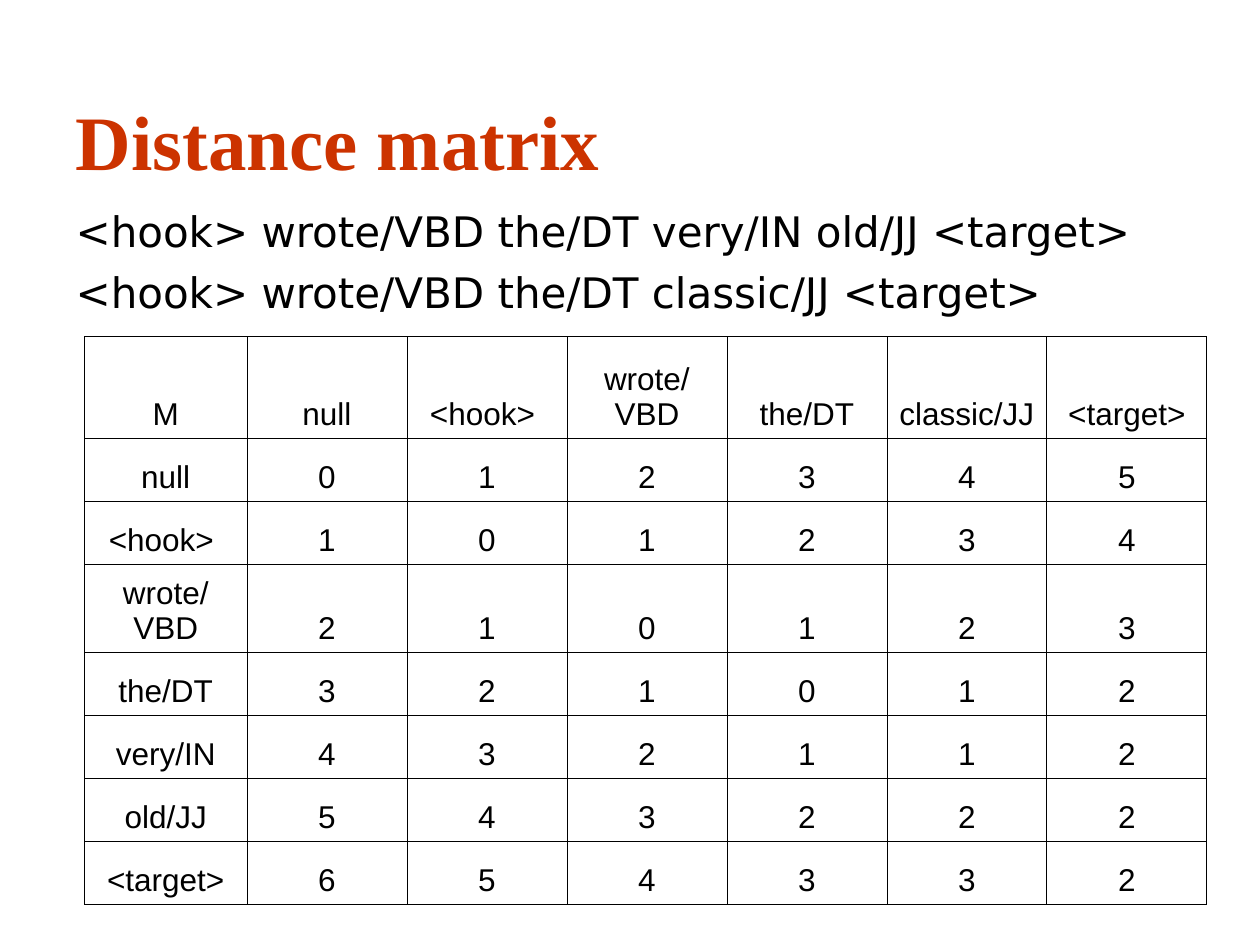
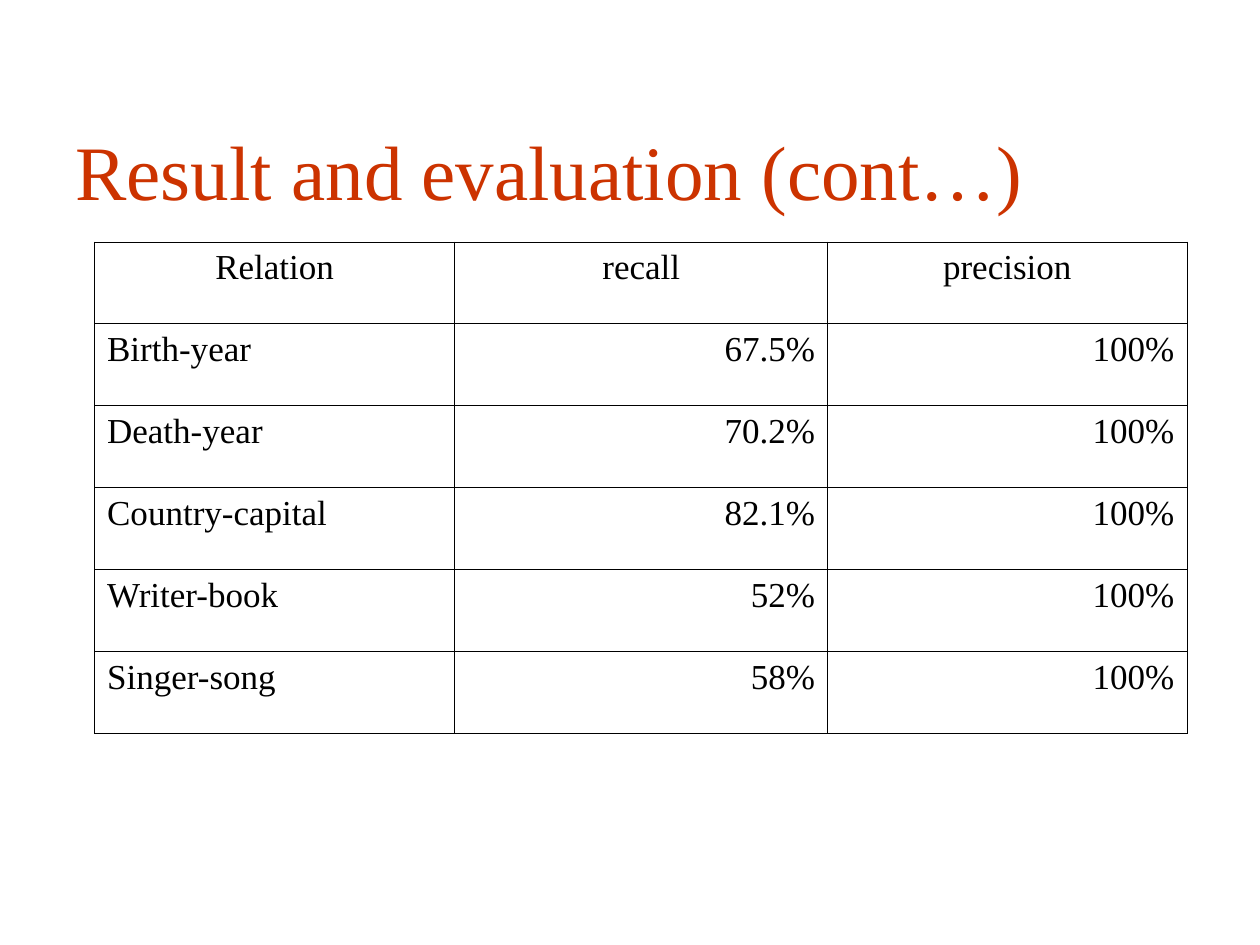
import pptx
import pptx.dml.color
import pptx.enum.text
import pptx.oxml
import pptx.oxml.ns
import pptx.util
from pptx.util import Inches

ALIGN = pptx.enum.text.PP_ALIGN
ANCHOR = pptx.enum.text.MSO_ANCHOR
RED = pptx.dml.color.RGBColor(0xCC, 0x33, 0x00)
BLACK = pptx.dml.color.RGBColor(0x00, 0x00, 0x00)
SERIF, SANS, BODY = "Times New Roman", "Arial", "DejaVu Sans"
TITLE_LAYOUT, CONTENT_LAYOUT = 5, 1
BORDER_PT = 0.45

PATTERNS = [
    "<hook> wrote/VBD the/DT very/IN old/JJ <target>",
    "<hook> wrote/VBD the/DT classic/JJ <target>",
]
DISTANCES = [
    ("M", "null", "<hook> ", "wrote/VBD", "the/DT", "classic/JJ", "<target>"),
    ("null", 0, 1, 2, 3, 4, 5),
    ("<hook> ", 1, 0, 1, 2, 3, 4),
    ("wrote/VBD", 2, 1, 0, 1, 2, 3),
    ("the/DT", 3, 2, 1, 0, 1, 2),
    ("very/IN", 4, 3, 2, 1, 1, 2),
    ("old/JJ", 5, 4, 3, 2, 2, 2),
    ("<target>", 6, 5, 4, 3, 3, 2),
]
DISTANCE_COLS = [1.29] + [1.27] * 6
DISTANCE_ROWS = [0.81, 0.5, 0.5, 0.7] + [0.5] * 4

RESULTS = [
    ("Relation", "recall", "precision"),
    ("Birth-year", "67.5%", "100%"),
    ("Death-year", "70.2%", "100%"),
    ("Country-capital", "82.1%", "100%"),
    ("Writer-book", "52%", "100%"),
    ("Singer-song", "58%", "100%"),
]
RESULT_COLS = [2.86, 2.96, 2.85]
RESULT_ROWS = [0.65] * len(RESULTS)


def write(p, text, size, font, color=BLACK, bold=False, align=ALIGN.LEFT):
    p.alignment = align
    r = p.add_run()
    r.text = text
    r.font.size = pptx.util.Pt(size)
    r.font.name = font
    r.font.bold = bold
    r.font.color.rgb = color


def place(sp, left, top, width, height):
    sp.left, sp.top = Inches(left), Inches(top)
    sp.width, sp.height = Inches(width), Inches(height)
    sp.text_frame.auto_size = pptx.enum.text.MSO_AUTO_SIZE.NONE


def add_slide(prs, layout, title, height, bold=False):
    slide = prs.slides.add_slide(prs.slide_layouts[layout])
    sp = slide.shapes.title
    place(sp, 0.5, 0.72, 9, height)
    sp.text_frame.vertical_anchor = ANCHOR.MIDDLE
    write(sp.text_frame.paragraphs[0], title, 44, SERIF, RED, bold)
    return slide


def fill_body(sp, lines):
    """Write the lines as unbulleted paragraphs with a hanging indent."""
    place(sp, 0.5, 1.58, 9, 1.17)
    tf = sp.text_frame
    for i, line in enumerate(lines):
        p = tf.add_paragraph() if i else tf.paragraphs[0]
        write(p, line, 24, BODY)
        p.space_before = pptx.util.Pt(6)
        pPr = p._p.get_or_add_pPr()
        pPr.set("marL", str(Inches(0.38)))
        pPr.set("indent", str(-Inches(0.38)))
        pPr.append(pptx.oxml.parse_xml(f"<a:buNone {pptx.oxml.ns.nsdecls('a')}/>"))


def add_borders(cell):
    tcPr = cell._tc.get_or_add_tcPr()
    width = int(pptx.util.Pt(BORDER_PT))
    for side in ("lnL", "lnR", "lnT", "lnB"):
        tcPr.append(pptx.oxml.parse_xml(
            f'<a:{side} {pptx.oxml.ns.nsdecls("a")} w="{width}"><a:solidFill>'
            f'<a:srgbClr val="{BLACK}"/></a:solidFill></a:{side}>'))


def add_grid(slide, left, top, rows, widths, heights, size, font, anchor, align_at):
    """Add a bordered table; align_at(row, column) gives each cell's alignment."""
    table = slide.shapes.add_table(
        len(rows), len(widths), Inches(left), Inches(top),
        Inches(sum(widths)), Inches(sum(heights))).table
    table.first_row = table.horz_banding = False
    for column, width in zip(table.columns, widths):
        column.width = Inches(width)
    for row, height in zip(table.rows, heights):
        row.height = Inches(height)
    for i, values in enumerate(rows):
        for j, value in enumerate(values):
            cell = table.cell(i, j)
            cell.vertical_anchor = anchor
            add_borders(cell)
            cell.fill.background()
            write(cell.text_frame.paragraphs[0], str(value), size, font,
                  align=align_at(i, j))


def result_align(row, column):
    if row == 0:
        return ALIGN.CENTER
    return ALIGN.RIGHT if column else ALIGN.LEFT


def main():
    prs = pptx.Presentation()
    prs.slide_width, prs.slide_height = Inches(10), Inches(7.5)

    slide = add_slide(prs, CONTENT_LAYOUT, "Distance matrix", 0.78, bold=True)
    fill_body(slide.placeholders[1], PATTERNS)
    add_grid(slide, 0.67, 2.67, DISTANCES, DISTANCE_COLS, DISTANCE_ROWS, 18, SANS,
             ANCHOR.BOTTOM, lambda row, column: ALIGN.CENTER)

    slide = add_slide(prs, TITLE_LAYOUT, "Result and evaluation (cont…)", 1.25)
    add_grid(slide, 0.75, 1.92, RESULTS, RESULT_COLS, RESULT_ROWS, 20, SERIF,
             ANCHOR.TOP, result_align)

    prs.save("out.pptx")


if __name__ == "__main__":
    main()
